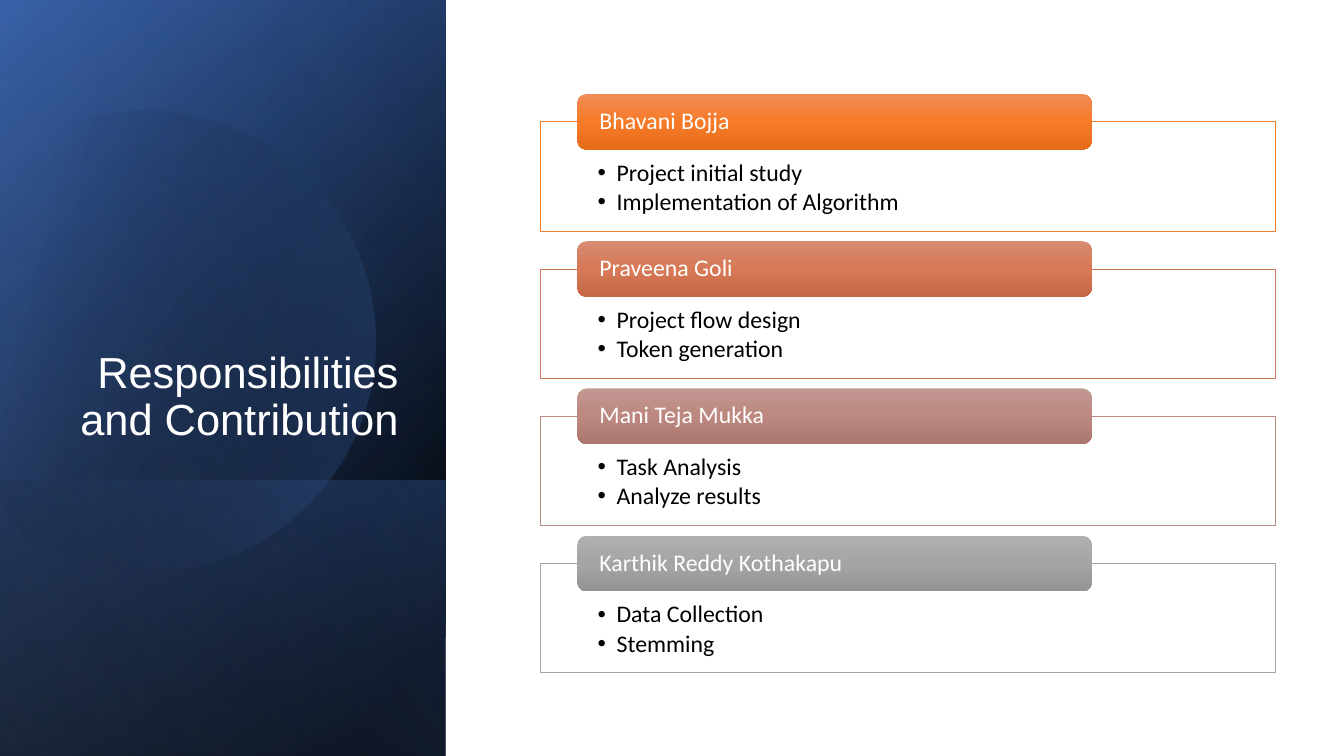
import math
from dataclasses import dataclass

from lxml import etree
from pptx import Presentation
from pptx import util as u
from pptx.dml.color import RGBColor
from pptx.enum import shapes, text
from pptx.oxml.ns import qn


@dataclass(frozen=True)
class Theme:
    white: str = "FFFFFF"
    black: str = "000000"
    navy: str = "2F5597"
    blue: str = "4472C4"
    pale_blue: str = "8FAADC"
    title_font: str = "Arial"
    body_font: str = "Calibri"
    title_size: float = 31
    body_size: float = 17


THEME = Theme()

# Name, tasks, outline colour, header gradient from top to bottom
MEMBERS = [
    ("Bhavani Bojja", ["Project initial study", "Implementation of Algorithm"],
     "ED7D31", ("F18C57", "F67B28", "E56C19")),
    ("Praveena Goli", ["Project flow design", "Token generation"],
     "D17B5C", ("D78B72", "D77956", "C66846")),
    ("Mani Teja Mukka", ["Task Analysis", "Analyze results"],
     "B98A82", ("C19791", "BC8880", "AA766E")),
    ("Karthik Reddy Kothakapu", ["Data Collection", "Stemming"],
     "A5A5A5", ("AFAFAF", "A5A5A5", "939393")),
]


def add_alpha(color, percent):
    etree.SubElement(color, qn("a:alpha"), val=str(percent * 1000))


def fill_gradient(shape, stops, angle):
    """Stops are (position %, colour, opacity %); the angle runs clockwise."""
    shape.fill.gradient()
    shape.fill.gradient_angle = 360 - angle
    stop_list = shape.element.spPr.find(qn("a:gradFill")).find(qn("a:gsLst"))
    for old_stop in list(stop_list):
        stop_list.remove(old_stop)
    for position, color, opacity in stops:
        stop = etree.SubElement(stop_list, qn("a:gs"), pos=str(position * 1000))
        add_alpha(etree.SubElement(stop, qn("a:srgbClr"), val=color), opacity)


def arc_points(center_x, center_y, radius, degrees):
    """Start point, then two control points and an end point per Bézier arc."""
    def place(angle, tangent):
        return (u.Cm(center_x + radius * (math.cos(angle) - tangent * math.sin(angle))),
                u.Cm(center_y + radius * (math.sin(angle) + tangent * math.cos(angle))))

    angles = [math.radians(degree) for degree in degrees]
    points = [place(angles[0], 0)]
    for start, end in zip(angles, angles[1:]):
        handle = 4 / 3 * math.tan((end - start) / 4)
        points += [place(start, handle), place(end, -handle), place(end, 0)]
    return points


def bend_segments(freeform):
    """Turn each three straight segments into one cubic curve."""
    outline = next(freeform.element.iter(qn("a:path")))
    lines = outline.findall(qn("a:lnTo"))
    for index in range(0, len(lines), 3):
        curve = etree.Element(qn("a:cubicBezTo"))
        lines[index].addprevious(curve)
        for line in lines[index:index + 3]:
            curve.append(line[0])
            outline.remove(line)


def write_text(shape, lines, *, font=THEME.body_font, size=THEME.body_size,
               color=THEME.white, align=text.PP_ALIGN.LEFT,
               anchor=text.MSO_ANCHOR.MIDDLE, insets=(0.25, 0.13, 0.25, 0.13),
               space_after=0, bullet_indent=None):
    frame = shape.text_frame
    frame.word_wrap = True
    frame.vertical_anchor = anchor
    (frame.margin_left, frame.margin_top,
     frame.margin_right, frame.margin_bottom) = map(u.Cm, insets)
    for index, line in enumerate(lines):
        para = frame.add_paragraph() if index else frame.paragraphs[0]
        para.alignment = align
        para.line_spacing = 0.9
        para.space_after = u.Pt(space_after)
        span = para.add_run()
        span.text = line
        span.font.name = font
        span.font.size = u.Pt(size)
        span.font.color.rgb = RGBColor.from_string(color)
        if bullet_indent:
            properties = para._p.get_or_add_pPr()
            indent = u.Cm(bullet_indent)
            properties.set("marL", str(indent))
            properties.set("indent", str(-indent))
            etree.SubElement(properties, qn("a:buFont"), typeface="Arial")
            etree.SubElement(properties, qn("a:buChar"), char="•")


class SlideBuilder:
    def __init__(self, slide, theme):
        self.slide = slide
        self.theme = theme

    def box(self, kind, left, top, width, height):
        shape = self.slide.shapes.add_shape(
            kind, u.Cm(left), u.Cm(top), u.Cm(width), u.Cm(height))
        shape.shadow.inherit = False
        shape.line.fill.background()
        return shape

    def turned_panel(self, left, top, width, height, stops, angle):
        panel = self.box(shapes.MSO_SHAPE.RECTANGLE, left, top, width, height)
        panel.rotation = 90
        panel.element.spPr.find(qn("a:xfrm")).set("flipH", "1")
        fill_gradient(panel, stops, angle)

    def cut_circle(self, center_x, center_y, radius, degrees, rotation, stops, angle):
        start, *points = arc_points(center_x, center_y, radius, degrees)
        builder = self.slide.shapes.build_freeform(*start)
        builder.add_line_segments(points, close=True)
        circle = builder.convert_to_shape()
        bend_segments(circle)
        circle.shadow.inherit = False
        circle.line.fill.background()
        circle.rotation = rotation
        fill_gradient(circle, stops, angle)

    def title(self, wording, left, top, width, height):
        box = self.slide.shapes.add_textbox(
            u.Cm(left), u.Cm(top), u.Cm(width), u.Cm(height))
        write_text(box, [wording], font=self.theme.title_font,
                   size=self.theme.title_size, align=text.PP_ALIGN.RIGHT,
                   anchor=text.MSO_ANCHOR.BOTTOM)

    def member_card(self, top, name, tasks, outline, shades):
        # Outlined task list
        card = self.box(shapes.MSO_SHAPE.RECTANGLE, 13.61, top, 18.52, 2.75)
        card.fill.solid()
        card.fill.fore_color.rgb = RGBColor.from_string(self.theme.white)
        add_alpha(card.element.spPr.find(qn("a:solidFill"))[0], 90)
        card.line.color.rgb = RGBColor.from_string(outline)
        card.line.width = u.Pt(0.5)
        write_text(card, tasks, color=self.theme.black,
                   anchor=text.MSO_ANCHOR.TOP, insets=(1.45, 0.98, 1.45, 0.33),
                   space_after=2.4, bullet_indent=0.48)
        # Header overlapping the top edge
        header = self.box(shapes.MSO_SHAPE.ROUNDED_RECTANGLE,
                          14.55, top - 0.7, 12.97, 1.4)
        fill_gradient(header, [(position, shade, 100) for position, shade
                               in zip((0, 50, 100), shades)], 90)
        write_text(header, [name], insets=(0.49, 0, 0.49, 0))


def main():
    deck = Presentation()
    deck.slide_width, deck.slide_height = u.Cm(33.87), u.Cm(19.05)
    page = SlideBuilder(deck.slides.add_slide(deck.slide_layouts[6]), THEME)

    # Layered blue side panel
    full_panel = (-3.91, 3.91, 19.05, 11.23)
    page.turned_panel(*full_panel, [(8, THEME.black, 100), (100, THEME.navy, 100)], 50)
    page.turned_panel(*full_panel, [(0, THEME.black, 0), (99, THEME.blue, 46)], 30)
    page.turned_panel(2.13, 9.97, 6.95, 11.23,
                      [(2, THEME.blue, 29), (100, THEME.black, 30)], 130)
    page.cut_circle(3.65, 8.49, 5.8, (-118, -90, 0, 90, 150), 343.9,
                    [(29, THEME.black, 0), (100, THEME.blue, 43)], 30)
    page.turned_panel(*full_panel, [(0, THEME.black, 0), (99, THEME.pale_blue, 11)], 120)
    page.title("Responsibilities and Contribution", 1.63, 4.69, 8.66, 6.65)

    # One card per team member
    for index, member in enumerate(MEMBERS):
        page.member_card(3.07 + 3.71 * index, *member)

    deck.save("out.pptx")


if __name__ == "__main__":
    main()
